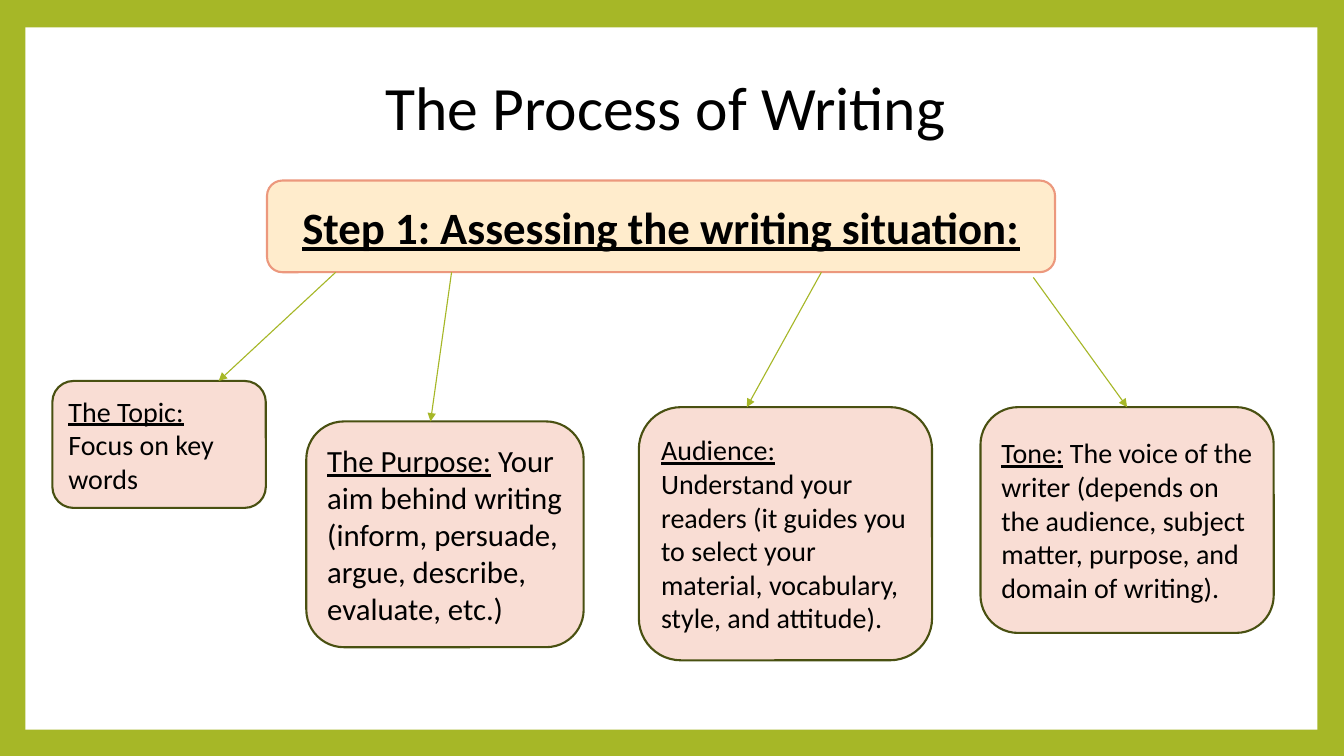
from lxml.etree import SubElement
from pptx import Presentation
from pptx.dml.color import RGBColor
from pptx.enum.shapes import MSO_CONNECTOR as Connector, MSO_SHAPE as Shape
from pptx.enum.text import MSO_ANCHOR as Anchor, PP_ALIGN as Align
from pptx.oxml.ns import qn
from pptx.util import Cm, Pt

GREEN = RGBColor(0xA6, 0xB7, 0x27)
OLIVE = RGBColor(0x49, 0x50, 0x11)
PINK = RGBColor(0xF9, 0xDD, 0xD4)
CREAM = RGBColor(0xFF, 0xEC, 0xCC)
CORAL = RGBColor(0xEC, 0x98, 0x7D)
WHITE = RGBColor(0xFF, 0xFF, 0xFF)
BLACK = RGBColor(0, 0, 0)

FONT = "Calibri"
STEP_BOTTOM = 6.86
TOP_SIDE = 0

# Heading, explanation, text size, box (left, top, width, height),
# arrow start (x, y), arrow end x (None: middle of the top side)
ASPECTS = [
    ("The Topic:", " Focus on key words", 20,
     (1.32, 9.6, 5.38, 3.2), (8.46, STEP_BOTTOM), 5.51),
    ("The Purpose:",
     " Your aim behind writing (inform, persuade, argue, describe, evaluate, etc.)",
     22, (7.72, 10.62, 6.99, 5.69), (11.38, STEP_BOTTOM), 10.85),
    ("Audience:",
     " Understand your readers (it guides you to select your material, "
     "vocabulary, style, and attitude).",
     20, (16.1, 10.26, 7.39, 6.38), (20.7, STEP_BOTTOM), 18.82),
    ("Tone:",
     " The voice of the writer (depends on the audience, subject matter, "
     "purpose, and domain of writing).",
     20, (24.71, 10.26, 7.39, 5.69), (26.04, 6.99), None),
]


def add_box(slide, kind, box, fill, line=None):
    shape = slide.shapes.add_shape(kind, *map(Cm, box))
    shape.shadow.inherit = False
    shape.fill.solid()
    shape.fill.fore_color.rgb = fill
    if line is None:
        shape.line.fill.background()
    else:
        shape.line.color.rgb = line
        shape.line.width = Pt(1.5)
    return shape


def write_text(shape, runs, size, align=Align.LEFT, line_spacing=None):
    """Fill a shape with one paragraph of (text, font attributes) runs."""
    frame = shape.text_frame
    frame.word_wrap = True
    frame.vertical_anchor = Anchor.MIDDLE
    paragraph = frame.paragraphs[0]
    paragraph.alignment = align
    paragraph.line_spacing = line_spacing
    for text, extra in runs:
        run = paragraph.add_run()
        run.text = text
        run.font.color.rgb = BLACK
        for name, value in {"name": FONT, "size": Pt(size), **extra}.items():
            setattr(run.font, name, value)


def add_arrow(slide, start, end):
    arrow = slide.shapes.add_connector(Connector.STRAIGHT, *map(Cm, start + end))
    arrow.line.color.rgb = GREEN
    arrow.line.width = Pt(0.79)
    SubElement(arrow.line._get_or_add_ln(), qn("a:tailEnd"), type="triangle")
    SubElement(arrow._element.spPr, qn("a:effectLst"))
    return arrow


def add_aspect(slide, heading, explanation, size, box, start, end_x):
    left, top, width, _ = box
    shape = add_box(slide, Shape.ROUNDED_RECTANGLE, box, PINK, OLIVE)
    write_text(shape, [(heading, {"underline": True}), (explanation, {})], size)
    if end_x is None:
        arrow = add_arrow(slide, start, (left + width / 2, top))
        arrow.end_connect(shape, TOP_SIDE)
    else:
        add_arrow(slide, start, (end_x, top))


def main():
    presentation = Presentation()
    presentation.slide_width = Cm(33.87)
    presentation.slide_height = Cm(19.05)
    slide = presentation.slides.add_slide(presentation.slide_layouts[6])
    slide.background.fill.solid()
    slide.background.fill.fore_color.rgb = GREEN
    add_box(slide, Shape.RECTANGLE, (0.64, 0.69, 32.56, 17.7), WHITE)

    title = slide.shapes.add_textbox(*map(Cm, (9.47, 1.7, 14.94, 2.16)))
    write_text(title, [("The Process of Writing", {})], 44, line_spacing=0.9)

    step = add_box(slide, Shape.ROUNDED_RECTANGLE,
                   (6.73, 4.55, 19.86, 2.31), CREAM, CORAL)
    write_text(step, [("Step 1: Assessing the writing situation:",
                       {"bold": True, "underline": True})], 32, Align.CENTER)

    for aspect in ASPECTS:
        add_aspect(slide, *aspect)
    presentation.save("out.pptx")


if __name__ == "__main__":
    main()
